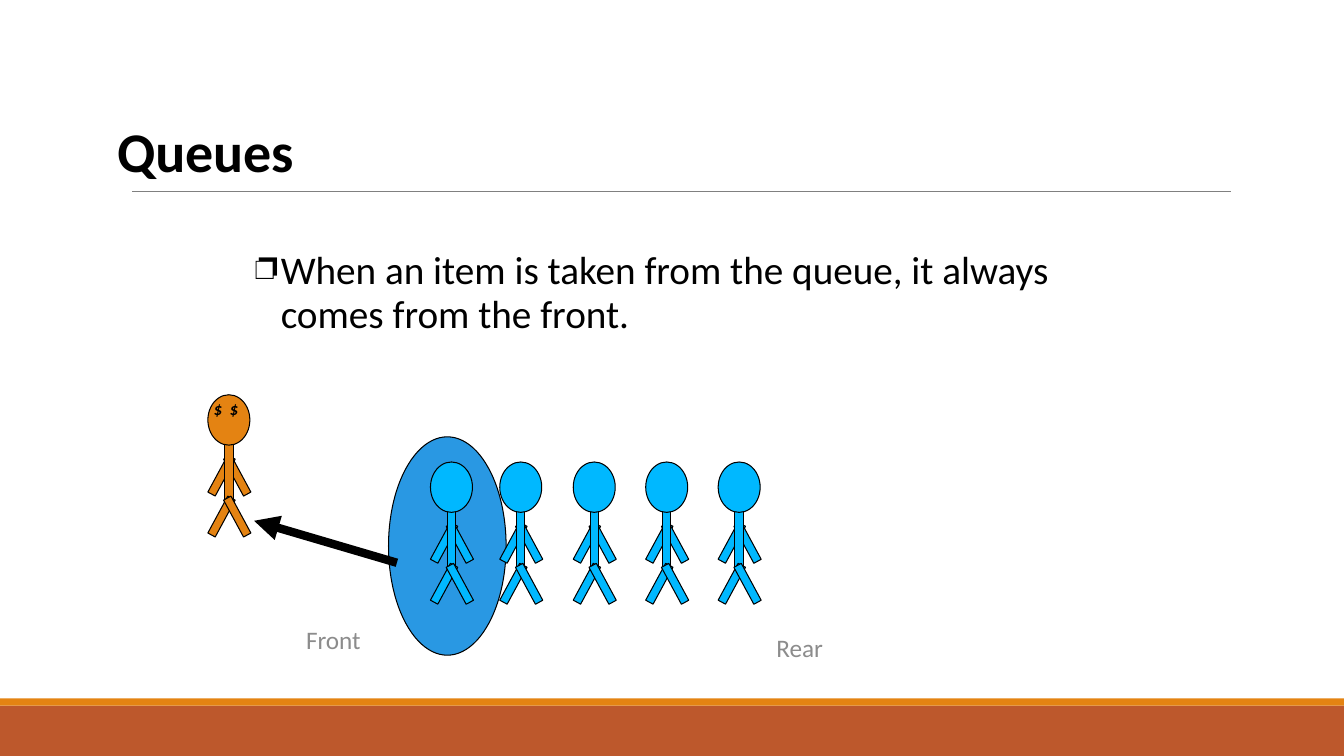
"""Build the slide on taking an item from the front of a queue."""
import lxml.etree
import pptx
import pptx.dml.color
import pptx.enum.shapes
import pptx.enum.text
import pptx.oxml.ns
import pptx.util

PX = 9525
FONT = "Calibri"
BLACK, GREY, BLUE, ORANGE = "000000", "8C8C8C", "00B8FF", "E48312"
TITLE = ("Queues", (102, 84, 1078, 128))
BODY = ("When an item is taken from the queue, it always comes from the front.",
        (234, 232, 856, 192))
LABELS = [("Front", (282, 592, 77, 37)), ("Rear", (730, 600, 66, 37))]
BARS = [("BD582C", (0, 672, 1280, 48)), (ORANGE, (0, 665, 1280, 7))]
RULE = (126, 182, 1172, 182)
HIGHLIGHT = (370, 416, 112, 208)
ARROW = (378, 536, 242, 496)
LEAVER = (198, 376)
QUEUE_Y = 440
QUEUE_X = [476, 546, 615, 684, 410]
EYES = [("$", 0), (" ", 270), ("$", 0)]
EYE_BOX = (-4, 0, 48, 48)
LIMBS = [("RECTANGLE", (9, 57, 8, 40), 28.4), ("RECTANGLE", (24, 57, 8, 40), 331.6),
         ("RECTANGLE", (16, 40, 8, 64), 0), ("OVAL", (0, 0, 40, 48), 0),
         ("RECTANGLE", (9, 96, 8, 40), 28.4), ("RECTANGLE", (24, 96, 8, 40), 331.6)]


def emu(box):
    return [v * PX for v in box]


def rgb(value):
    return pptx.dml.color.RGBColor.from_string(value)


def add_element(parent, tag, **attrs):
    return lxml.etree.SubElement(parent, pptx.oxml.ns.qn(tag), **attrs)


def add_shape(shapes, kind, box, fill, outlined=True, rotation=0):
    sp = shapes.add_shape(getattr(pptx.enum.shapes.MSO_SHAPE, kind), *emu(box))
    sp.shadow.inherit = False
    sp.rotation = rotation
    sp.fill.solid()
    sp.fill.fore_color.rgb = rgb(fill)
    if outlined:
        sp.line.color.rgb = rgb(BLACK)
        sp.line.width = pptx.util.Pt(0.75)
    else:
        sp.line.fill.background()


def add_line(shapes, ends, color, width):
    sp = shapes.add_connector(pptx.enum.shapes.MSO_CONNECTOR.STRAIGHT, *emu(ends))
    sp.line.color.rgb = rgb(color)
    sp.line.width = pptx.util.Pt(width)
    add_element(sp._element.spPr, "a:effectLst")
    return sp


def add_run(p, text, size, color=BLACK, bold=False, italic=False, spacing=0):
    r = p.add_run()
    r.text = text
    r.font.name, r.font.size = FONT, pptx.util.Pt(size)
    r.font.bold, r.font.italic = bold, italic
    r.font.color.rgb = rgb(color)
    if spacing:
        r._r.get_or_add_rPr().set("spc", str(spacing))


def add_paragraph(shapes, box, wrap=True):
    tf = shapes.add_textbox(*emu(box)).text_frame
    tf.word_wrap = wrap
    p = tf.paragraphs[0]
    p.line_spacing = 0.95
    return p


def add_person(shapes, x, y, color):
    group = shapes.add_group_shape()
    for kind, (dx, dy, w, h), rotation in LIMBS:
        add_shape(group.shapes, kind, (x + dx, y + dy, w, h), color, rotation=rotation)
    return group


def add_title(title):
    text, box = TITLE
    title.left, title.top, title.width, title.height = emu(box)
    tf = title.text_frame
    tf.auto_size = pptx.enum.text.MSO_AUTO_SIZE.NONE
    tf.vertical_anchor = pptx.enum.text.MSO_ANCHOR.MIDDLE
    p = tf.paragraphs[0]
    p.alignment = pptx.enum.text.PP_ALIGN.LEFT
    p.line_spacing = 0.85
    add_run(p, text, 40, bold=True, spacing=-10)


def add_body(shapes):
    text, box = BODY
    p = add_paragraph(shapes, box)
    pPr = p._p.get_or_add_pPr()
    pPr.set("marL", str(24 * PX))
    pPr.set("indent", str(-24 * PX))
    add_element(pPr, "a:buChar", char="❐")
    add_run(p, text, 28)


def main():
    prs = pptx.Presentation()
    prs.slide_width, prs.slide_height = emu((1280, 720))
    s = prs.slides.add_slide(prs.slide_layouts[5])
    shapes = s.shapes
    add_title(shapes.title)
    for color, box in BARS:
        add_shape(shapes, "RECTANGLE", box, color, outlined=False)
    add_line(shapes, RULE, "808080", 0.5)
    add_shape(shapes, "OVAL", HIGHLIGHT, "2998E3")
    add_body(shapes)

    for x in QUEUE_X:
        add_person(shapes, x, QUEUE_Y, BLUE)
    x, y = LEAVER
    leaver = add_person(shapes, x, y, ORANGE)
    dx, dy, w, h = EYE_BOX
    p = add_paragraph(leaver.shapes, (x + dx, y + dy, w, h))
    for text, spacing in EYES:
        add_run(p, text, 12, bold=True, italic=True, spacing=spacing)

    for text, box in LABELS:
        add_run(add_paragraph(shapes, box, wrap=False), text, 18, GREY)
    arrow = add_line(shapes, ARROW, BLACK, 6)
    add_element(arrow.line._get_or_add_ln(), "a:tailEnd", type="triangle")
    prs.save("out.pptx")


if __name__ == "__main__":
    main()
